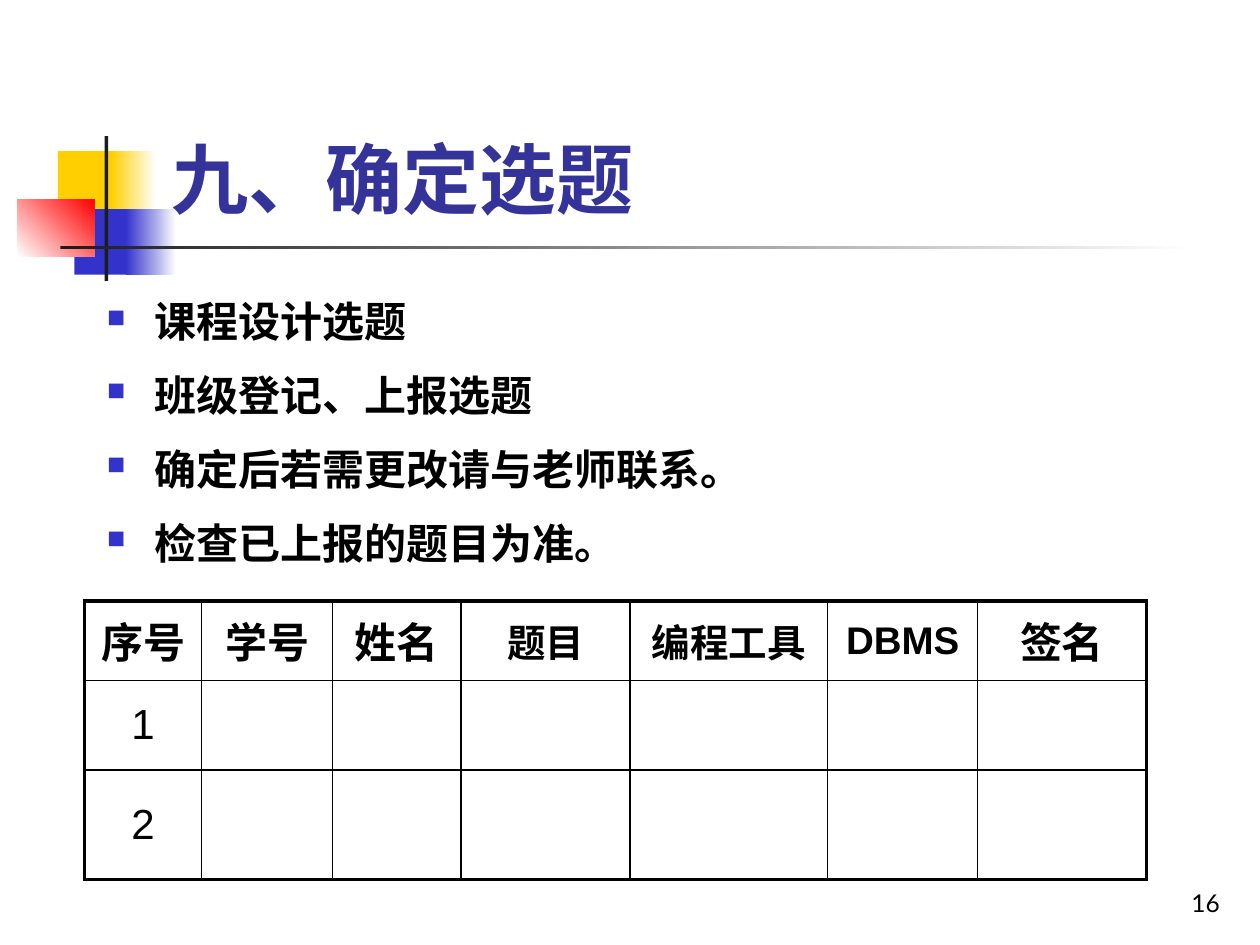
from lxml import etree
from pptx import Presentation
from pptx.dml.color import RGBColor
from pptx.enum import shapes, text
from pptx.oxml import ns
from pptx.util import Inches, Pt

COLORS = {"yellow": "FFCF01", "blue": "3333CC", "red": "FF0000", "dark": "1C1C1C",
          "white": "FFFFFF", "black": "000000", "title": "333399"}
TITLE = "九、确定选题"
POINTS = ["课程设计选题", "班级登记、上报选题", "确定后若需更改请与老师联系。", "检查已上报的题目为准。"]
HEADERS = [("序号", 24), ("学号", 24), ("姓名", 24), ("题目", 22),
           ("编程工具", 22), ("DBMS", 22), ("签名", 24)]
ROW_LABELS = ["1", "2"]
COLUMN_WIDTHS = [0.93, 1.04, 1.02, 1.34, 1.57, 1.19, 1.34]
ROW_HEIGHTS = [0.63, 0.71, 0.87]
# left, top, width, height, colours (two make a gradient), gradient angle
ORNAMENTS = [
    (0.46, 1.2, 0.48, 0.52, ["yellow"], 0),
    (0.88, 1.2, 0.36, 0.52, ["yellow", "white"], 0),
    (0.59, 1.66, 0.46, 0.52, ["blue"], 0),
    (1, 1.66, 0.4, 0.52, ["blue", "white"], 0),
    (0.14, 1.58, 0.61, 0.46, ["white", "red"], 45),
    (0.83, 1.08, 0.03, 1.15, ["dark"], 0),
    (0.48, 1.95, 9, 0.03, ["dark", "white"], 0),
]


def color(name):
    return RGBColor.from_string(COLORS[name])


def write(para, words, shade="black", **font):
    span = para.add_run()
    span.text = words
    span.font.color.rgb = color(shade)
    for name, value in font.items():
        setattr(span.font, name, value)


def place(shape, *bounds):
    for name, value in zip(("left", "top", "width", "height"), bounds):
        setattr(shape, name, Inches(value))


def set_frame(shape, anchor):
    settings = {"word_wrap": True, "auto_size": text.MSO_AUTO_SIZE.NONE,
                "vertical_anchor": anchor}
    for name, value in settings.items():
        setattr(shape.text_frame, name, value)
    return shape.text_frame


def add_ornament(page, left, top, width, height, names, angle):
    box = page.shapes.add_shape(shapes.MSO_SHAPE.RECTANGLE,
                                *map(Inches, (left, top, width, height)))
    box.shadow.inherit = False
    box.line.fill.background()
    if len(names) == 1:
        box.fill.solid()
        box.fill.fore_color.rgb = color(names[0])
        return
    box.fill.gradient()
    box.fill.gradient_angle = angle
    for stop, name in zip(box.fill.gradient_stops, names):
        stop.color.rgb = color(name)


def add_bullet(para):
    props = para._p.get_or_add_pPr()
    props.set("marL", str(Inches(0.38)))
    props.set("indent", str(-Inches(0.38)))
    shade = etree.SubElement(props, ns.qn("a:buClr"))
    etree.SubElement(shade, ns.qn("a:srgbClr"), val=COLORS["blue"])
    etree.SubElement(props, ns.qn("a:buSzPct"), val="60000")
    etree.SubElement(props, ns.qn("a:buChar"), char="■")


def set_borders(cell, outer_sides):
    """Draw thick lines on the table's outer sides, thin ones elsewhere."""
    props = cell._tc.get_or_add_tcPr()
    for index, side in enumerate("LRTB"):
        width = Pt(2.25 if side in outer_sides else 1)
        line = etree.Element(ns.qn(f"a:ln{side}"), w=str(width))
        fill = etree.SubElement(line, ns.qn("a:solidFill"))
        etree.SubElement(fill, ns.qn("a:srgbClr"), val=COLORS["black"])
        props.insert(index, line)


def add_topic_table(page):
    rows, columns = len(ROW_HEIGHTS), len(COLUMN_WIDTHS)
    bounds = (0.67, 4.77, sum(COLUMN_WIDTHS), sum(ROW_HEIGHTS))
    table = page.shapes.add_table(rows, columns, *map(Inches, bounds)).table
    table.first_row = table.horz_banding = False
    for column, width in zip(table.columns, COLUMN_WIDTHS):
        column.width = Inches(width)
    for row, height in zip(table.rows, ROW_HEIGHTS):
        row.height = Inches(height)
    entries = {(0, c): (*header, True) for c, header in enumerate(HEADERS)}
    entries.update({(r, 0): (label, 24, False) for r, label in enumerate(ROW_LABELS, 1)})
    for r in range(rows):
        for c in range(columns):
            cell = table.cell(r, c)
            cell.fill.background()
            cell.vertical_anchor = text.MSO_ANCHOR.MIDDLE
            edges = {"L": c == 0, "R": c == columns - 1, "T": r == 0, "B": r == rows - 1}
            set_borders(cell, [side for side, outer in edges.items() if outer])
            if (r, c) in entries:
                words, size, bold = entries[r, c]
                para = cell.text_frame.paragraphs[0]
                para.alignment = text.PP_ALIGN.CENTER
                para.space_before = Pt(size * 0.2)
                write(para, words, name="Arial", size=Pt(size), bold=bold)


def main():
    deck = Presentation()
    deck.slide_width, deck.slide_height = Inches(10), Inches(7.5)
    page = deck.slides.add_slide(deck.slide_layouts[5])
    for ornament in ORNAMENTS:
        add_ornament(page, *ornament)

    number = page.shapes.add_textbox(*map(Inches, (7.7, 6.83, 2.08, 0.5)))
    para = set_frame(number, text.MSO_ANCHOR.BOTTOM).paragraphs[0]
    para.alignment = text.PP_ALIGN.RIGHT
    write(para, "16", name="Lato", size=Pt(14))

    title = page.shapes.title
    place(title, 1.26, 0.23, 8.52, 1.6)
    para = set_frame(title, text.MSO_ANCHOR.BOTTOM).paragraphs[0]
    para.alignment = text.PP_ALIGN.LEFT
    write(para, TITLE, "title", name="Lato", size=Pt(44), bold=True)
    title.element.getparent().append(title.element)  # in front of the ornaments

    body = page.shapes.add_textbox(*map(Inches, (0.75, 2.18, 8.43, 2.36)))
    frame = set_frame(body, text.MSO_ANCHOR.TOP)
    for index, point in enumerate(POINTS):
        para = frame.add_paragraph() if index else frame.paragraphs[0]
        para.line_spacing = 1.3
        para.space_before = Pt(4.8)
        add_bullet(para)
        write(para, point, name="Lato", size=Pt(24), bold=True)

    add_topic_table(page)
    deck.save("out.pptx")


if __name__ == "__main__":
    main()
